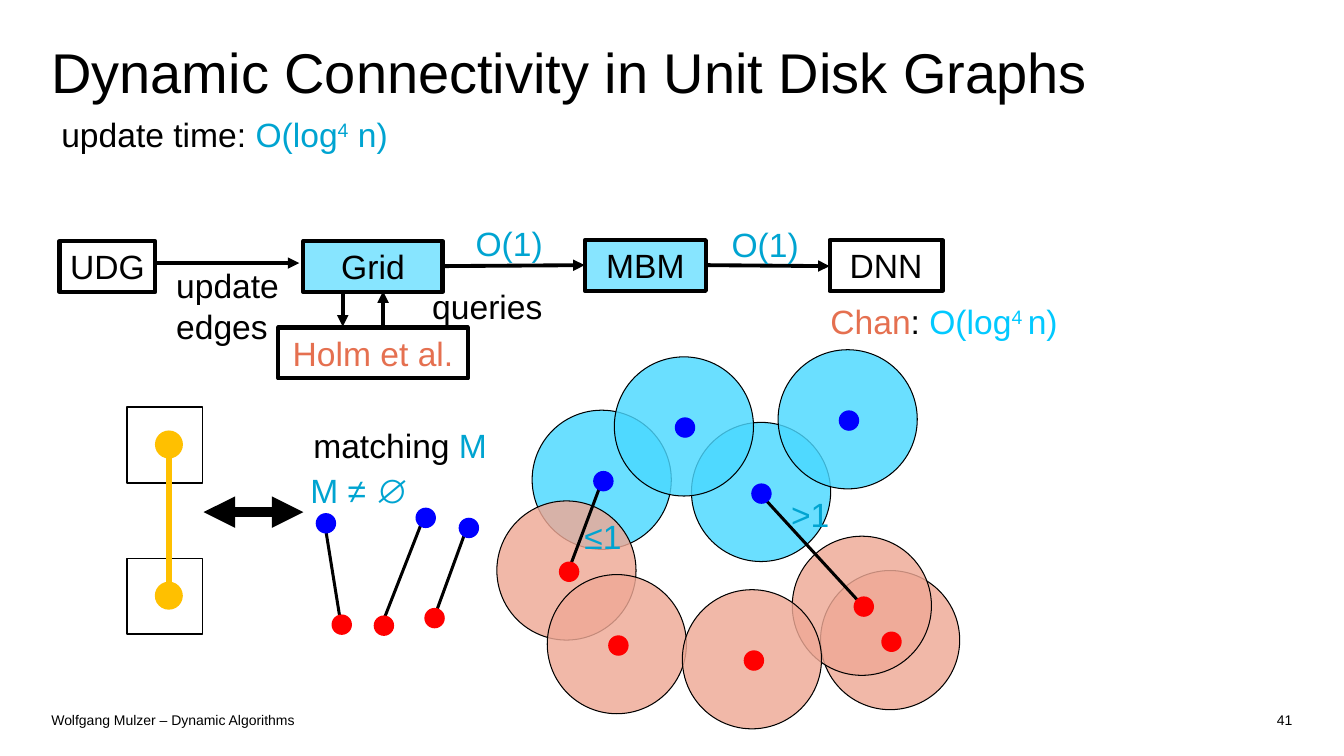
from lxml import etree
from pptx import Presentation
from pptx.dml.color import RGBColor
from pptx.enum.shapes import MSO_CONNECTOR, MSO_SHAPE
from pptx.enum.text import MSO_ANCHOR, PP_ALIGN
from pptx.oxml.ns import qn
from pptx.util import Pt

STRAIGHT = MSO_CONNECTOR.STRAIGHT
RECTANGLE, OVAL = MSO_SHAPE.RECTANGLE, MSO_SHAPE.OVAL
TOP, MIDDLE = MSO_ANCHOR.TOP, MSO_ANCHOR.MIDDLE
LEFT, CENTER, RIGHT = PP_ALIGN.LEFT, PP_ALIGN.CENTER, PP_ALIGN.RIGHT

color = RGBColor.from_string
BLACK, TEAL, CYAN, ORANGE = "000000", "00A4D1", "02C9FF", "E57050"
SKY, SALMON, PALE = "4AD8FF", "EFA996", "87E5FF"
BLUE, RED, GOLD = "0000FF", "FF0000", "FFC000"

presentation = Presentation()
presentation.slide_width = Pt(960)
presentation.slide_height = Pt(540)
slide = presentation.slides.add_slide(presentation.slide_layouts[6])
shapes = slide.shapes


def write_text(shape, runs, size=24, align=LEFT, anchor=TOP, inset=True):
    frame = shape.text_frame
    frame.word_wrap = True
    frame.vertical_anchor = anchor
    frame.margin_left = frame.margin_right = Pt(7.2 if inset else 0)
    frame.margin_top = frame.margin_bottom = Pt(3.6 if inset else 0)
    paragraph = frame.paragraphs[0]
    paragraph.alignment = align
    for text, hue, raised in runs:
        run = paragraph.add_run()
        run.text = text
        run.font.name = "Arial"
        run.font.size = Pt(size)
        run.font.color.rgb = color(hue)
        if raised:
            run.font._element.set("baseline", "30000")


def add_line(start, end, width, hue=BLACK, arrows=()):
    line = shapes.add_connector(STRAIGHT, *[Pt(value) for value in (*start, *end)])
    line.line.color.rgb = color(hue)
    line.line.width = Pt(width)
    outline = line.line._get_or_add_ln()
    for arrow in arrows:
        etree.SubElement(outline, qn("a:" + arrow), type="triangle")
    etree.SubElement(line._element.spPr, qn("a:effectLst"))


disk_size = 99.4
disks = [
    (429.8, 342.7, SKY), (543.6, 351.4, SKY),
    (635.8, 457.2, SALMON), (615.6, 432.7, SALMON), (404.6, 407.5, SALMON),
    (605.5, 299.5, SKY), (488.5, 304.6, SKY),
    (440.6, 460.1, SALMON), (537.1, 470.9, SALMON),
]
for x, y, hue in disks:
    disk = shapes.add_shape(OVAL, Pt(x - disk_size / 2), Pt(y - disk_size / 2),
                            Pt(disk_size), Pt(disk_size))
    disk.shadow.inherit = False
    disk.fill.solid()
    disk.fill.fore_color.rgb = color(hue)
    etree.SubElement(disk._element.spPr.find(".//" + qn("a:srgbClr")),
                     qn("a:alpha"), val="82000")
    disk.line.color.rgb = color(BLACK)
    disk.line.width = Pt(0.75)

for top in (290.9, 398.9):
    cell = shapes.add_shape(RECTANGLE, Pt(90.7), Pt(top), Pt(54), Pt(54))
    cell.shadow.inherit = False
    cell.fill.background()
    cell.line.color.rgb = color(BLACK)
    cell.line.width = Pt(1.08)

add_line((120.8, 419.8), (120.8, 315.4), 4, GOLD)
edges = [
    ((429.8, 344.2), (406.1, 407.5)),
    ((543.6, 353.5), (615.6, 432)),
    ((231.8, 373), (243.4, 445)),
    ((303.1, 368.6), (272.9, 445.7)),
    ((333.4, 377.3), (310.3, 440.6)),
]
for start, end in edges:
    add_line(start, end, 2.16)

dot_groups = [
    (20, GOLD, [(120.7, 317.5), (120.6, 425.5)]),
    (14.6, BLUE, [(431, 343.7), (606.4, 300.4), (543.9, 352.6), (489.3, 305.4),
                  (304.1, 369.9), (232.8, 373.8), (334.9, 377.1)]),
    (14.6, RED, [(441.7, 461.1), (538.5, 471.8), (636.8, 458.4), (617, 433.3),
                 (406.5, 408.4), (274.2, 446.9), (244.1, 446.2), (310.4, 441.5)]),
]
for size, hue, centers in dot_groups:
    for x, y in centers:
        dot = shapes.add_shape(OVAL, Pt(x - size / 2), Pt(y - size / 2), Pt(size), Pt(size))
        dot.shadow.inherit = False
        dot.fill.solid()
        dot.fill.fore_color.rgb = color(hue)
        dot.line.fill.background()

boxes = [
    ("UDG", 42.5, 172.3, 68.4, None, BLACK),
    ("Grid", 216.7, 172.3, 99.4, PALE, BLACK),
    ("MBM", 417.8, 171.5, 86.4, PALE, BLACK),
    ("DNN", 592.6, 171.5, 80.6, None, BLACK),
    ("Holm et al.", 198.7, 234, 135.4, None, ORANGE),
]
for name, left, top, width, background, hue in boxes:
    box = shapes.add_shape(RECTANGLE, Pt(left), Pt(top), Pt(width), Pt(36.3))
    box.shadow.inherit = False
    if background:
        box.fill.solid()
        box.fill.fore_color.rgb = color(background)
    else:
        box.fill.background()
    box.line.color.rgb = color(BLACK)
    box.line.width = Pt(3)
    write_text(box, [(name, hue, False)], align=CENTER)

arrows = [
    ((110.9, 187.9), (213.8, 187.9)),
    ((315.4, 190.1), (417.6, 189.4)),
    ((504, 189.4), (592.6, 190.1)),
    ((244.8, 208.1), (244.8, 233.3)),
    ((273.6, 233.3), (273.6, 208.1)),
]
for start, end in arrows:
    add_line(start, end, 2.75, arrows=["tailEnd"])
add_line((145.4, 365.8), (216.7, 365.8), 7.5, arrows=["headEnd", "tailEnd"])

labels = [
    (36.7, 77.8, 253.4, 36.3, [("update time: ", BLACK, False), ("O(log", TEAL, False),
                               ("4", TEAL, True), (" n)", TEAL, False)]),
    (586.1, 211.7, 192.2, 36.3, [("Chan", ORANGE, False), (": ", BLACK, False),
                                 ("O(log", CYAN, False), ("4 ", CYAN, True),
                                 ("n)", CYAN, False)]),
    (216.7, 300.2, 142.6, 36.3, [("matching ", BLACK, False), ("M", TEAL, False)]),
    (214.6, 331.9, 121, 36.3, [("M ≠ ∅", TEAL, False)]),
    (332.6, 155.5, 68.4, 36.3, [("O(1)", TEAL, False)]),
    (515.5, 156.2, 66.2, 36.3, [("O(1)", TEAL, False)]),
    (301.7, 200.9, 118.1, 36.3, [("queries", BLACK, False)]),
    (118.8, 185.8, 90.7, 65.4, [("update edges", BLACK, False)]),
    (558, 349.2, 42.6, 36.3, [(">1", TEAL, False)]),
    (410.4, 365, 46.1, 36.3, [("≤1", TEAL, False)]),
]
for left, top, width, height, runs in labels:
    label = shapes.add_textbox(Pt(left), Pt(top), Pt(width), Pt(height))
    write_text(label, runs)

page_texts = [
    ("Dynamic Connectivity in Unit Disk Graphs", 36.7, 26.6, 886.3, 110.9, 40, LEFT, TOP),
    ("Wolfgang Mulzer – Dynamic Algorithms", 36.7, 503.3, 775.4, 22.3, 10, LEFT, MIDDLE),
    ("41", 812.2, 503.3, 110.9, 22.3, 10, RIGHT, MIDDLE),
]
for text, left, top, width, height, size, align, anchor in page_texts:
    page_text = shapes.add_textbox(Pt(left), Pt(top), Pt(width), Pt(height))
    write_text(page_text, [(text, BLACK, False)], size, align, anchor, inset=False)

presentation.save("out.pptx")
